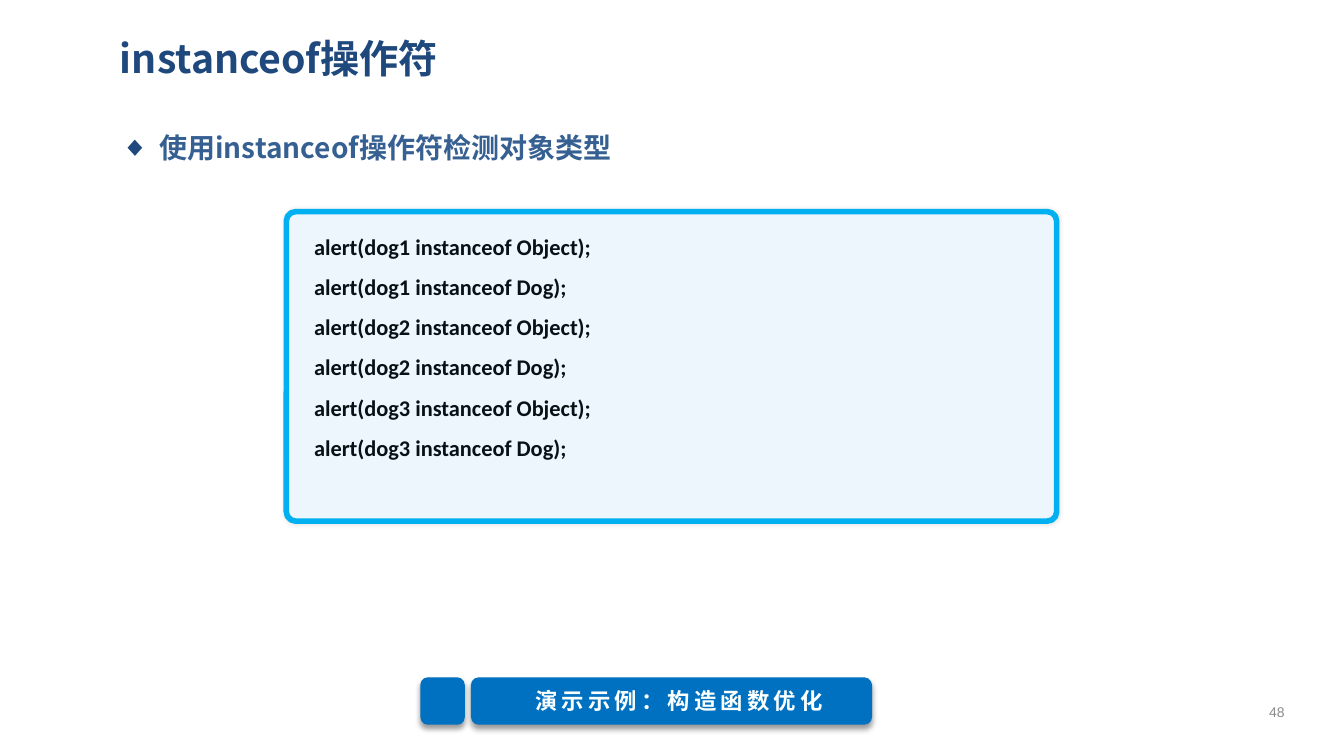
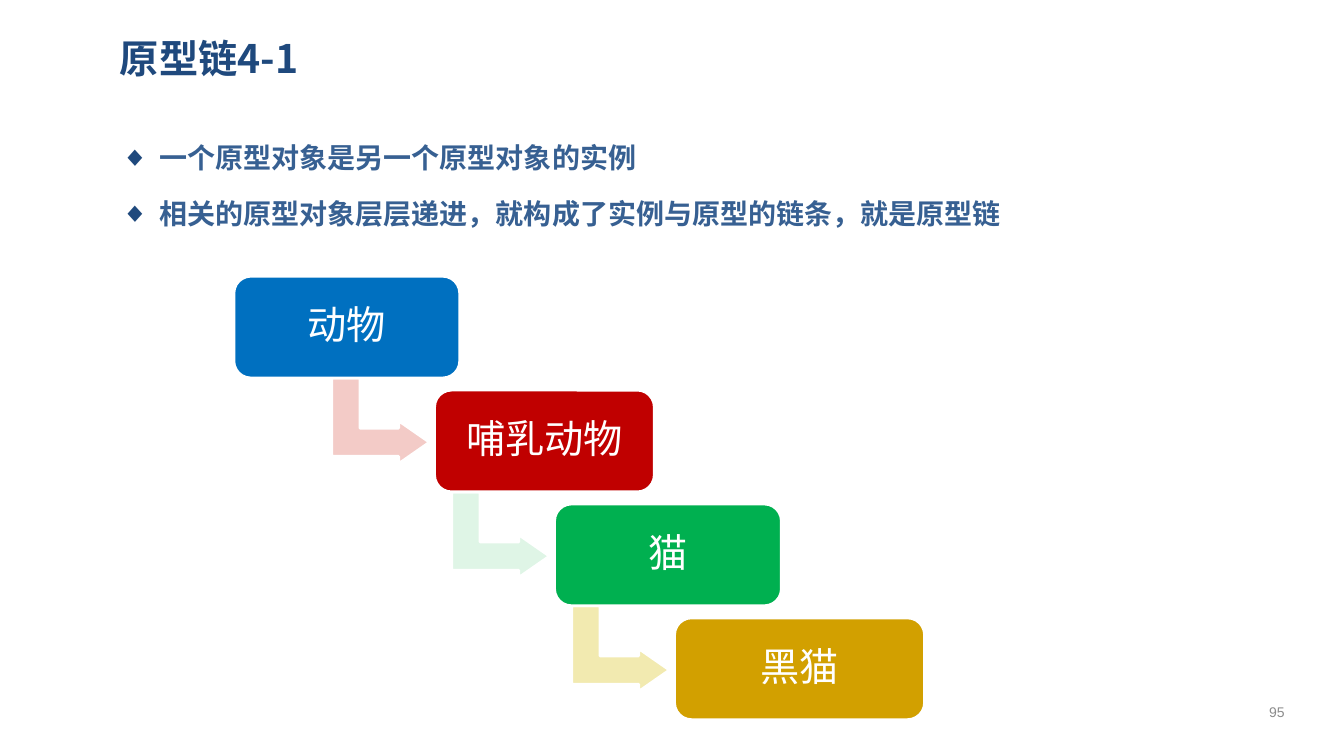
from lxml.etree import SubElement
from pptx import Presentation
from pptx.dml.color import RGBColor
from pptx.enum.shapes import MSO_SHAPE
from pptx.enum.text import MSO_ANCHOR, MSO_AUTO_SIZE, PP_ALIGN
from pptx.oxml.ns import qn
from pptx.util import Emu, Pt

PX = 9144  # 100 px to the inch
SLIDE_WIDTH, SLIDE_HEIGHT = 1333, 750
TITLE_ONLY = 5

CJK_FONT = "Noto Sans CJK SC"
NAVY = RGBColor(0x1F, 0x49, 0x7D)
STEEL = RGBColor(0x37, 0x60, 0x92)
GRAY = RGBColor(0x8C, 0x8C, 0x8C)
WHITE = RGBColor(0xFF, 0xFF, 0xFF)
BUTTON_TEXT = RGBColor(0xFB, 0xFF, 0xFE)
CODE_TEXT = RGBColor(0x07, 0x12, 0x15)
CODE_FILL = RGBColor(0xED, 0xF5, 0xFD)
CYAN = RGBColor(0x00, 0xB0, 0xF0)
BLUE = RGBColor(0x00, 0x70, 0xC0)
RED = RGBColor(0xC0, 0x00, 0x00)
GREEN = RGBColor(0x00, 0xB0, 0x50)
GOLD = RGBColor(0xD2, 0xA0, 0x00)
PALE_RED = RGBColor(0xF3, 0xCB, 0xC7)
PALE_GREEN = RGBColor(0xDF, 0xF5, 0xE6)
PALE_GOLD = RGBColor(0xF2, 0xEA, 0xB0)

CODE_LINES = [
    f"alert(dog{number} instanceof {kind});"
    for number in (1, 2, 3)
    for kind in ("Object", "Dog")
]

# Label, left, width, fill, and colour of the arrow to the next node
CHAIN = [
    ("动物", 232, 224, BLUE, PALE_RED),
    ("哺乳动物", 431, 218, RED, PALE_GREEN),
    ("猫", 550, 225, GREEN, PALE_GOLD),
    ("黑猫", 669, 248, GOLD, None),
]
CHAIN_TOP, CHAIN_STEP = 274, 113


def px(*lengths):
    return [Emu(length * PX) for length in lengths]


def add_bullet(paragraph, color):
    properties = paragraph._p.get_or_add_pPr()
    bullet_color = SubElement(properties, qn("a:buClr"))
    SubElement(bullet_color, qn("a:srgbClr"), val=str(color))
    SubElement(properties, qn("a:buFont"), typeface="Arial")
    SubElement(properties, qn("a:buChar"), char="◆")


def write_text(shape, lines, *, size, color, font=CJK_FONT, bold=False,
               align=PP_ALIGN.LEFT, anchor=MSO_ANCHOR.TOP, margins=(9, 4, 9, 4),
               line_spacing=1, space_before=0, indent=(0, 0), bullet=None,
               letter_spacing=0):
    """Fill a shape with one paragraph per line; margins run left, top, right, bottom."""
    frame = shape.text_frame
    frame.word_wrap = True
    frame.auto_size = MSO_AUTO_SIZE.NONE
    frame.vertical_anchor = anchor
    (frame.margin_left, frame.margin_top,
     frame.margin_right, frame.margin_bottom) = px(*margins)
    for index, line in enumerate(lines):
        paragraph = frame.add_paragraph() if index else frame.paragraphs[0]
        paragraph.alignment = align
        paragraph.line_spacing = line_spacing
        paragraph.space_before = Pt(space_before if index else 0)
        properties = paragraph._p.get_or_add_pPr()
        for name, length in zip(("marL", "indent"), px(*indent)):
            properties.set(name, str(length))
        if bullet is not None:
            add_bullet(paragraph, bullet)
        run = paragraph.add_run()
        run.text = line
        run.font.size = Pt(size)
        run.font.bold = bold
        run.font.color.rgb = color
        run.font.name = font
        run_properties = run._r.get_or_add_rPr()
        SubElement(run_properties, qn("a:ea"), typeface=CJK_FONT)
        if letter_spacing:
            run_properties.set("spc", str(letter_spacing * 100))


def add_shadow(shape, opacity, blur, distance, angle):
    effects = shape._element.spPr.find(qn("a:effectLst"))
    shadow = SubElement(effects, qn("a:outerShdw"), blurRad=str(Pt(blur)),
                        dist=str(Pt(distance)), dir=str(angle * 60000),
                        algn="ctr", rotWithShape="0")
    color = SubElement(shadow, qn("a:srgbClr"), val="000000")
    SubElement(color, qn("a:alpha"), val=str(opacity * 1000))


def add_box(slide, kind, bounds, fill, line=None, line_width=2, adjustments=()):
    shape = slide.shapes.add_shape(kind, *px(*bounds))
    shape.shadow.inherit = False
    shape.fill.solid()
    shape.fill.fore_color.rgb = fill
    if line is None:
        shape.line.fill.background()
    else:
        shape.line.color.rgb = line
        shape.line.width = Pt(line_width)
    for index, value in enumerate(adjustments):
        shape.adjustments[index] = value
    return shape


def add_content_slide(presentation, title, bullets, line_spacing, number):
    """Add a slide with the shared title, bullet list and slide number."""
    slide = presentation.slides.add_slide(presentation.slide_layouts[TITLE_ONLY])
    heading = slide.shapes.title
    heading.left, heading.top, heading.width, heading.height = px(110, 24, 1165, 67)
    write_text(heading, [title], size=28, color=NAVY, bold=True,
               anchor=MSO_ANCHOR.MIDDLE)
    body = slide.shapes.add_textbox(*px(111, 119, 1165, 568))
    write_text(body, bullets, size=20, color=STEEL, bold=True, bullet=NAVY,
               line_spacing=line_spacing, space_before=4, indent=(38, -38))
    page = slide.shapes.add_textbox(*px(1234, 686, 65, 40))
    write_text(page, [str(number)], size=10, color=GRAY, font="Arial",
               align=PP_ALIGN.CENTER, anchor=MSO_ANCHOR.MIDDLE)
    return slide


def add_code_panel(slide, lines):
    panel = add_box(slide, MSO_SHAPE.ROUNDED_RECTANGLE, (284, 210, 764, 307),
                    CODE_FILL, CYAN, line_width=4, adjustments=[0.03])
    add_shadow(panel, opacity=10, blur=3, distance=0, angle=0)
    write_text(panel, lines, size=16, color=CODE_TEXT, font="Calibri", bold=True,
               margins=(10, 5, 10, 5), line_spacing=1.5, indent=(10, 5))


def add_demo_button(slide, label):
    for left, width in ((417, 44), (467, 398)):
        button = add_box(slide, MSO_SHAPE.ROUNDED_RECTANGLE,
                         (left, 672, width, 47), BLUE)
        add_shadow(button, opacity=40, blur=4, distance=3, angle=90)
    write_text(button, [label], size=16, color=BUTTON_TEXT, bold=True,
               align=PP_ALIGN.CENTER, anchor=MSO_ANCHOR.MIDDLE,
               margins=(25, 4, 10, 4), letter_spacing=3)


def add_chain(slide):
    """Draw the nodes as descending steps, each with an arrow to the next."""
    for index, (label, left, width, fill, arrow_fill) in enumerate(CHAIN):
        top = CHAIN_TOP + index * CHAIN_STEP
        if arrow_fill is not None:
            next_left = CHAIN[index + 1][1]
            arrow = add_box(slide, MSO_SHAPE.BENT_UP_ARROW,
                            (next_left - 96, top + 95, 85, 97), arrow_fill, WHITE,
                            adjustments=[0.33, 0.25, 0.36])
            arrow.rotation = 90
        node = add_box(slide, MSO_SHAPE.ROUNDED_RECTANGLE, (left, top, width, 101),
                       fill, WHITE)
        write_text(node, [label], size=28, color=WHITE, font="Arial",
                   align=PP_ALIGN.CENTER, anchor=MSO_ANCHOR.MIDDLE,
                   margins=(12, 12, 12, 12), line_spacing=0.9)


def main():
    presentation = Presentation()
    presentation.slide_width, presentation.slide_height = px(SLIDE_WIDTH, SLIDE_HEIGHT)

    operator_slide = add_content_slide(
        presentation, "instanceof操作符", ["使用instanceof操作符检测对象类型"], 1.2, 48)
    add_code_panel(operator_slide, CODE_LINES)
    add_demo_button(operator_slide, "演示示例：构造函数优化")

    chain_slide = add_content_slide(
        presentation, "原型链4-1",
        ["一个原型对象是另一个原型对象的实例",
         "相关的原型对象层层递进，就构成了实例与原型的链条，就是原型链"], 1.5, 95)
    add_chain(chain_slide)

    presentation.save("out.pptx")


if __name__ == "__main__":
    main()
